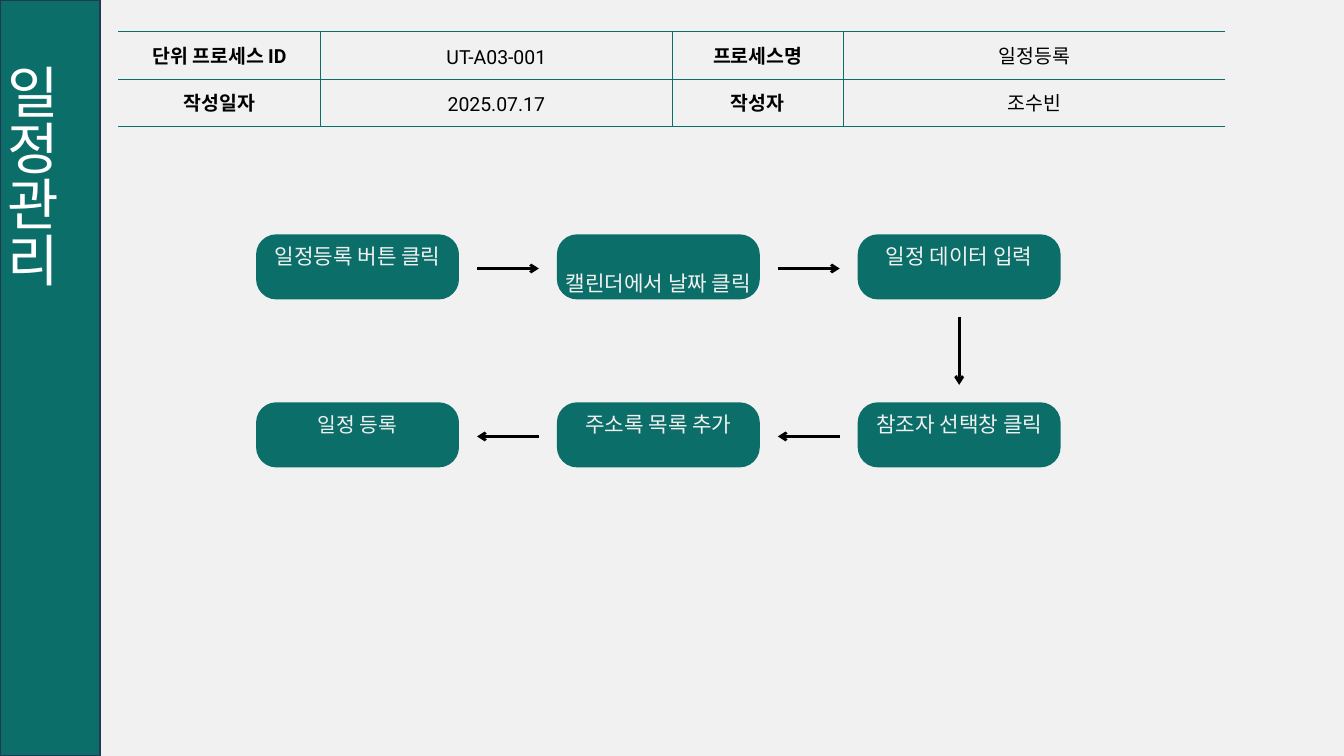
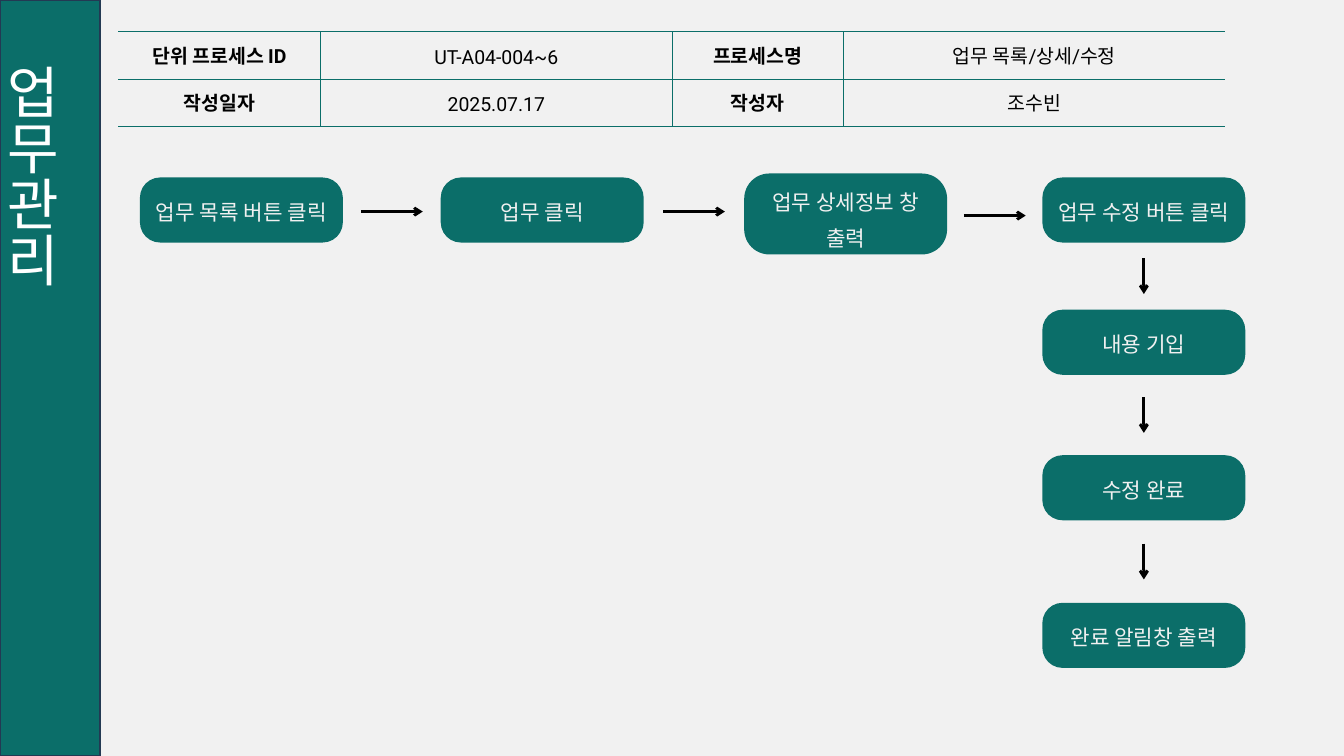
import dataclasses
import itertools

import pptx
import pptx.dml.color
import pptx.enum.shapes
import pptx.enum.text
import pptx.oxml
import pptx.oxml.ns
import pptx.util
from lxml import etree

Cm = pptx.util.Cm
Pt = pptx.util.Pt
ALIGN = pptx.enum.text.PP_ALIGN
ANCHOR = pptx.enum.text.MSO_ANCHOR
qn = pptx.oxml.ns.qn

COLORS = {
    "page": "F1F1F1",
    "teal": "0B6E69",
    "navy": "233953",
    "black": "000000",
    "white": "FFFFFF",
}
BODY_FONT = "Roboto"
TITLE_FONT = "Calibri"

PAGE_WIDTH, PAGE_HEIGHT = 50.8, 28.58
STEP_WIDTH, STEP_HEIGHT = 7.67, 2.46
STEP_PITCH = 11.37
LABEL_EXTRA = 1.2
ARROW_LENGTH = 2.34
TABLE_COLUMNS = (7.65, 13.28, 6.48, 14.43)
TABLE_ROW = 1.8


@dataclasses.dataclass
class Step:
    text: str
    left: float
    top: float
    height: float = STEP_HEIGHT
    rise: float = LABEL_EXTRA  # how far the label starts above the box
    anchor: ANCHOR = ANCHOR.MIDDLE
    size: float = 22.8

    @property
    def center(self):
        return self.left + STEP_WIDTH / 2, self.top + self.height / 2


def rgb(name):
    return pptx.dml.color.RGBColor.from_string(COLORS[name])


def paint(shape, color):
    shape.fill.solid()
    shape.fill.fore_color.rgb = rgb(color)


def format_text(frame, font, size, color, align, bold=False, spacing=None):
    for para in frame.paragraphs:
        para.alignment = align
        if spacing:
            para.line_spacing = Pt(spacing)
        for span in para.runs:
            span.font.name = font
            span.font.size = Pt(size)
            span.font.bold = bold
            span.font.color.rgb = rgb(color)


def add_side_title(page, text):
    """Make the title a band at the left edge, one character wide inside."""
    band = page.shapes.title
    band.left, band.top = Cm(0), Cm(0)
    band.width, band.height = Cm(3.78), Cm(PAGE_HEIGHT)
    paint(band, "teal")
    band.line.color.rgb = rgb("navy")
    band.line.width = Pt(2)
    frame = band.text_frame
    frame.text = text
    frame.word_wrap = True
    frame.auto_size = pptx.enum.text.MSO_AUTO_SIZE.NONE
    frame.vertical_anchor = ANCHOR.TOP
    frame.margin_left, frame.margin_right = Cm(0.3), Cm(1.27)
    frame.margin_top, frame.margin_bottom = Cm(2.6), Cm(0)
    format_text(frame, TITLE_FONT, 60, "white", ALIGN.LEFT, spacing=60)


def set_borders(cell, hidden_side):
    properties = cell._tc.get_or_add_tcPr()
    for position, side in enumerate(("lnL", "lnR", "lnT", "lnB")):
        border = etree.Element(qn("a:" + side), w=str(Pt(0.75)))
        if side == hidden_side:
            etree.SubElement(border, qn("a:noFill"))
        else:
            fill = etree.SubElement(border, qn("a:solidFill"))
            etree.SubElement(fill, qn("a:srgbClr"), val=COLORS["teal"])
        properties.insert(position, border)


def add_process_table(page, left, top, rows):
    """Draw label and value pairs, with the outer left and right sides open."""
    frame = page.shapes.add_table(
        len(rows), len(TABLE_COLUMNS), Cm(left), Cm(top),
        Cm(sum(TABLE_COLUMNS)), Cm(TABLE_ROW * len(rows)))
    table = frame.table
    table.first_row = table.horz_banding = False
    for column, width in zip(table.columns, TABLE_COLUMNS):
        column.width = Cm(width)
    hidden_sides = {0: "lnL", len(TABLE_COLUMNS) - 1: "lnR"}
    for row, texts in zip(table.rows, rows):
        row.height = Cm(TABLE_ROW)
        for index, (cell, text) in enumerate(zip(row.cells, texts)):
            cell.text = text
            cell.fill.background()
            cell.vertical_anchor = ANCHOR.MIDDLE
            cell.margin_left = cell.margin_right = Cm(0.03)
            cell.margin_top = cell.margin_bottom = Cm(0.03)
            format_text(cell.text_frame, BODY_FONT, 20.8, "black",
                        ALIGN.CENTER, bold=index % 2 == 0, spacing=29.2)
            set_borders(cell, hidden_sides.get(index))


def add_step(page, step):
    group = page.shapes.add_group_shape()
    box = group.shapes.add_shape(
        pptx.enum.shapes.MSO_SHAPE.ROUNDED_RECTANGLE,
        Cm(step.left), Cm(step.top), Cm(STEP_WIDTH), Cm(step.height))
    box.adjustments[0] = 0.31
    box.shadow.inherit = False
    paint(box, "teal")
    box.line.fill.background()

    label = group.shapes.add_textbox(
        Cm(step.left), Cm(step.top - step.rise),
        Cm(STEP_WIDTH), Cm(step.height + LABEL_EXTRA))
    frame = label.text_frame
    frame.text = step.text
    frame.word_wrap = True
    frame.vertical_anchor = step.anchor
    frame.margin_left = frame.margin_right = Cm(0.15)
    frame.margin_top = frame.margin_bottom = Cm(0.15)
    format_text(frame, BODY_FONT, step.size, "page", ALIGN.CENTER,
                spacing=38.6)


def add_arrow(page, start, end, drop_length):
    """Centre an arrow in the gap between two neighbouring steps."""
    x, y = start.center
    if start.left == end.left:
        middle = (start.top + start.height + end.top) / 2
        points = (x, middle - drop_length / 2, x, middle + drop_length / 2)
    else:
        middle = (x + end.center[0]) / 2
        half = ARROW_LENGTH / 2 if end.left > start.left else -ARROW_LENGTH / 2
        y += 0.06
        points = (middle - half, y, middle + half, y)
    arrow = page.shapes.add_connector(
        pptx.enum.shapes.MSO_CONNECTOR.STRAIGHT, *map(Cm, points))
    arrow.line.color.rgb = rgb("black")
    arrow.line.width = Pt(3)
    properties = arrow._element.spPr
    etree.SubElement(properties.find(qn("a:ln")), qn("a:tailEnd"), type="arrow")
    etree.SubElement(properties, qn("a:effectLst"))


def add_flow(page, steps, drop_length):
    for step in steps:
        add_step(page, step)
    for start, end in itertools.pairwise(steps):
        add_arrow(page, start, end, drop_length)


def add_process_page(deck, title, process_id, process_name, steps, drop_length):
    page = deck.slides.add_slide(deck.slide_layouts[5])
    add_side_title(page, title)
    add_process_table(page, 4.47, 1.19, (
        ("단위 프로세스 ID", process_id, "프로세스명", process_name),
        ("작성일자", "2025.07.17", "작성자", "조수빈"),
    ))
    add_flow(page, steps, drop_length)


def schedule_steps(left, top):
    """Run right along the first row and back along the second."""
    columns = [left + STEP_PITCH * index for index in range(3)]
    second_row = top + 6.35
    return [
        Step("일정등록 버튼 클릭", columns[0], top),
        Step("캘린더에서 날짜 클릭", columns[1], top, anchor=ANCHOR.BOTTOM),
        Step("일정 데이터 입력", columns[2], top),
        Step("참조자 선택창 클릭", columns[2], second_row),
        Step("주소록 목록 추가", columns[1], second_row),
        Step("일정 등록", columns[0], second_row, size=21.8),
    ]


def task_steps(left, top):
    """Run along the top row, then down the last column."""
    columns = [left + STEP_PITCH * index for index in range(4)]
    rise = 0.73
    return [
        Step("업무 목록 버튼 클릭", columns[0], top, rise=rise),
        Step("업무 클릭", columns[1], top, rise=rise),
        Step("업무 상세정보 창\n출력", columns[2] + 0.1, top - 0.15,
             height=3.06, anchor=ANCHOR.BOTTOM),
        Step("업무 수정 버튼 클릭", columns[3], top, rise=rise),
        Step("내용 기입", columns[3], top + 5, rise=rise),
        Step("수정 완료", columns[3], top + 10.5, rise=rise),
        Step("완료 알림창 출력", columns[3], top + 16.08, rise=rise),
    ]


def main():
    deck = pptx.Presentation()
    deck.slide_width, deck.slide_height = Cm(PAGE_WIDTH), Cm(PAGE_HEIGHT)
    paint(deck.slide_master.background, "page")
    add_process_page(deck, "일정관리", "UT-A03-001", "일정등록",
                     schedule_steps(9.68, 8.86), 2.57)
    add_process_page(deck, "업무관리", "UT-A04-004~6", "업무 목록/상세/수정",
                     task_steps(5.29, 6.71), 1.35)
    deck.save("out.pptx")


if __name__ == "__main__":
    main()
